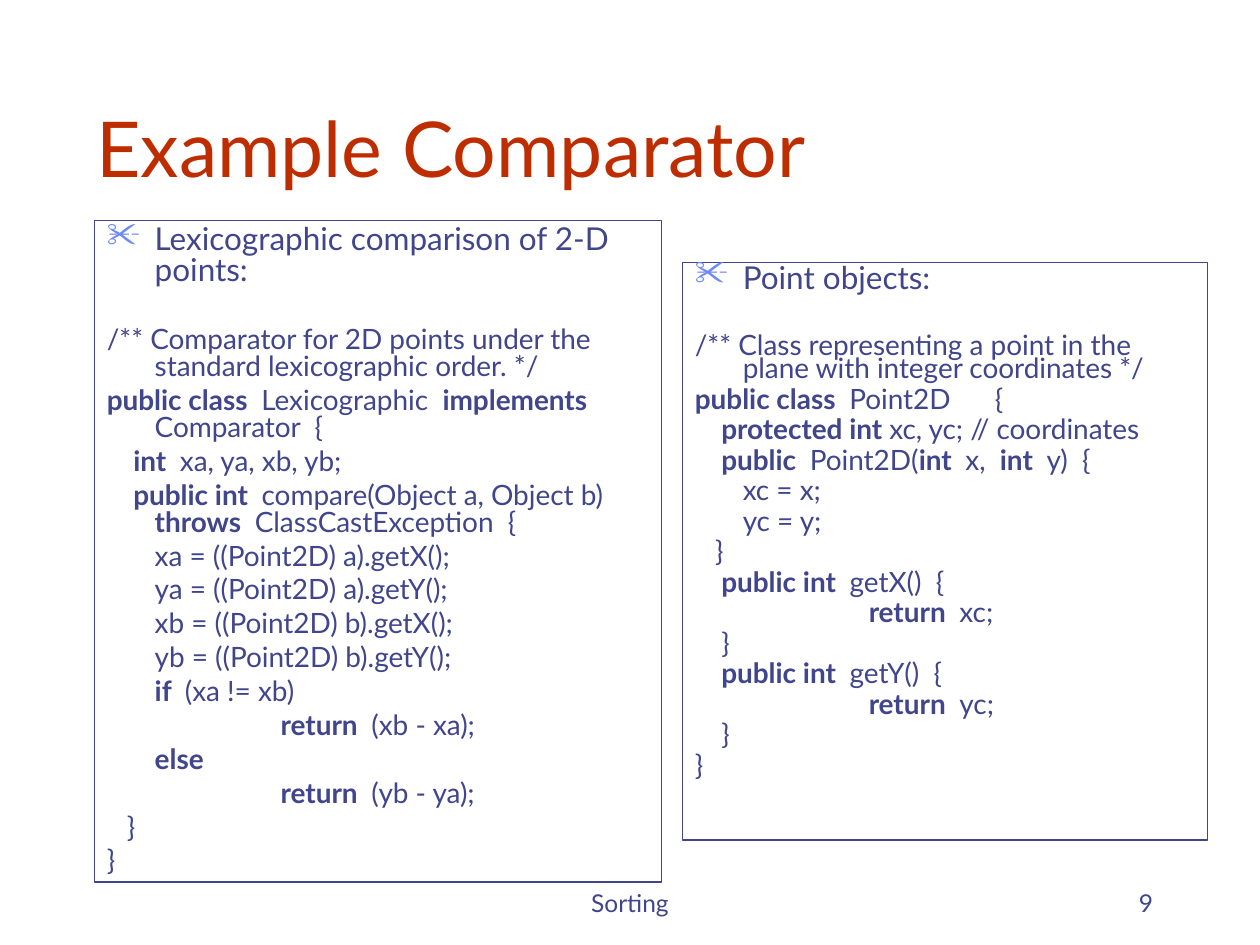
from lxml.etree import SubElement
from pptx import Presentation
from pptx.dml.color import RGBColor
from pptx.enum.shapes import MSO_SHAPE
from pptx.enum.text import MSO_ANCHOR, PP_ALIGN
from pptx.oxml.ns import qn
from pptx.util import Inches, Pt

COLORS = {"text": "40458C", "title": "BE2D00", "bullet": "6F89F7"}
FONT = "Lato"
CELL = 1 / 12  # the slide is a grid of 120 columns by 90 rows
HANG = 0.38    # left edge of wrapped lines, inches
GAP = 23.5     # space between a heading and its code, points

# First-line offset of each code level, inches
LEVELS = {"top": 0, "brace": 0.16, "member": 0.21, "body": HANG, "return": HANG + 1}

# Code lines: (level, text); bars enclose the bold words
COMPARATOR = [
    ("top", "/** Comparator for 2D points under the standard lexicographic order. */"),
    ("top", "|public class  |Lexicographic  |implements  |Comparator  {"),
    ("member", "|int  |xa, ya, xb, yb;"),
    ("member", "|public int  |compare(Object a, Object b)  |throws  |ClassCastException  {"),
    ("body", "xa = ((Point2D) a).getX();"),
    ("body", "ya = ((Point2D) a).getY();"),
    ("body", "xb = ((Point2D) b).getX();"),
    ("body", "yb = ((Point2D) b).getY();"),
    ("body", "|if  |(xa != xb)"),
    ("return", "|return  |(xb - xa);"),
    ("body", "|else|"),
    ("return", "|return  |(yb - ya);"),
    ("brace", "}"),
    ("top", "}"),
]
POINT = [
    ("top", "/** Class representing a point in the plane with integer coordinates */"),
    ("top", "|public class  |Point2D\t{"),
    ("member", "|protected int |xc, yc; // coordinates"),
    ("member", "|public  |Point2D(|int  |x,  |int  |y)  {"),
    ("body", "xc = x;"),
    ("body", "yc = y;"),
    ("brace", "}"),
    ("member", "|public int  |getX()  {"),
    ("return", "|return  |xc;"),
    ("member", "}"),
    ("member", "|public int  |getY()  {"),
    ("return", "|return  |yc;"),
    ("member", "}"),
    ("top", "}"),
]


def rgb(name):
    return RGBColor.from_string(COLORS[name])


def grid(*cells):
    return [Inches(n * CELL) for n in cells]


def set_all(obj, values):
    for name, value in values.items():
        setattr(obj, name, value)


def add_runs(p, text, size, color="text"):
    for i, part in enumerate(text.split("|")):
        if part:
            r = p.add_run()
            r.text = part
            set_all(r.font, {"name": FONT, "size": Pt(size), "bold": i % 2 == 1})
            r.font.color.rgb = rgb(color)


def add_label(slide, box, text, size, align, color="text"):
    tf = slide.shapes.add_textbox(*grid(*box)).text_frame
    set_all(tf, {"word_wrap": True, "vertical_anchor": MSO_ANCHOR.BOTTOM})
    p = tf.paragraphs[0]
    p.alignment = align
    add_runs(p, text, size, color)


def format_line(p, offset, spacing, before):
    set_all(p, {"alignment": PP_ALIGN.LEFT, "line_spacing": spacing,
                "space_before": Pt(before)})
    pPr = p._p.get_or_add_pPr()
    left = max(offset, HANG)
    pPr.set("marL", str(Inches(left)))
    pPr.set("indent", str(Inches(offset - left)))
    return pPr


def add_bullet(pPr):
    color = SubElement(pPr, qn("a:buClr"))
    SubElement(color, qn("a:srgbClr"), val=COLORS["bullet"])
    SubElement(pPr, qn("a:buSzPct"), val="110000")
    SubElement(pPr, qn("a:buChar"), char="✂")


def add_tab(pPr, inches):
    tabs = SubElement(pPr, qn("a:tabLst"))
    SubElement(tabs, qn("a:tab"), pos=str(Inches(inches)), algn="l")


def add_code_panel(slide, box, heading, code, spacing):
    sp = slide.shapes.add_shape(MSO_SHAPE.RECTANGLE, *grid(*box))
    sp.shadow.inherit = False
    sp.fill.background()
    sp.line.color.rgb = rgb("text")
    sp.line.width = Pt(0.75)
    tf = sp.text_frame
    set_all(tf, {"word_wrap": True, "vertical_anchor": MSO_ANCHOR.TOP})

    p = tf.paragraphs[0]
    add_bullet(format_line(p, 0, spacing, 4.5))
    add_runs(p, heading, 18)

    for i, (level, text) in enumerate(code):
        p = tf.add_paragraph()
        pPr = format_line(p, LEVELS[level], spacing, 4 if i else GAP)
        if "\t" in text:
            add_tab(pPr, 2)
        add_runs(p, text, 16)


def main():
    prs = Presentation()
    prs.slide_width, prs.slide_height = grid(120, 90)
    slide = prs.slides.add_slide(prs.slide_layouts[6])

    # Footer and page number
    add_label(slide, (41, 82, 38, 6), "Sorting", 14, PP_ALIGN.CENTER)
    add_label(slide, (86, 82, 25, 6), "9", 14, PP_ALIGN.RIGHT)

    # Title
    add_label(slide, (8, 4, 102, 15), "Example Comparator", 44, PP_ALIGN.LEFT, "title")

    # Code panels
    add_code_panel(slide, (9, 21, 54, 63), "Lexicographic comparison of 2-D points:",
                   COMPARATOR, 0.8)
    add_code_panel(slide, (65, 25, 50, 55), "Point objects:", POINT, 0.7)

    prs.save("out.pptx")


if __name__ == "__main__":
    main()
